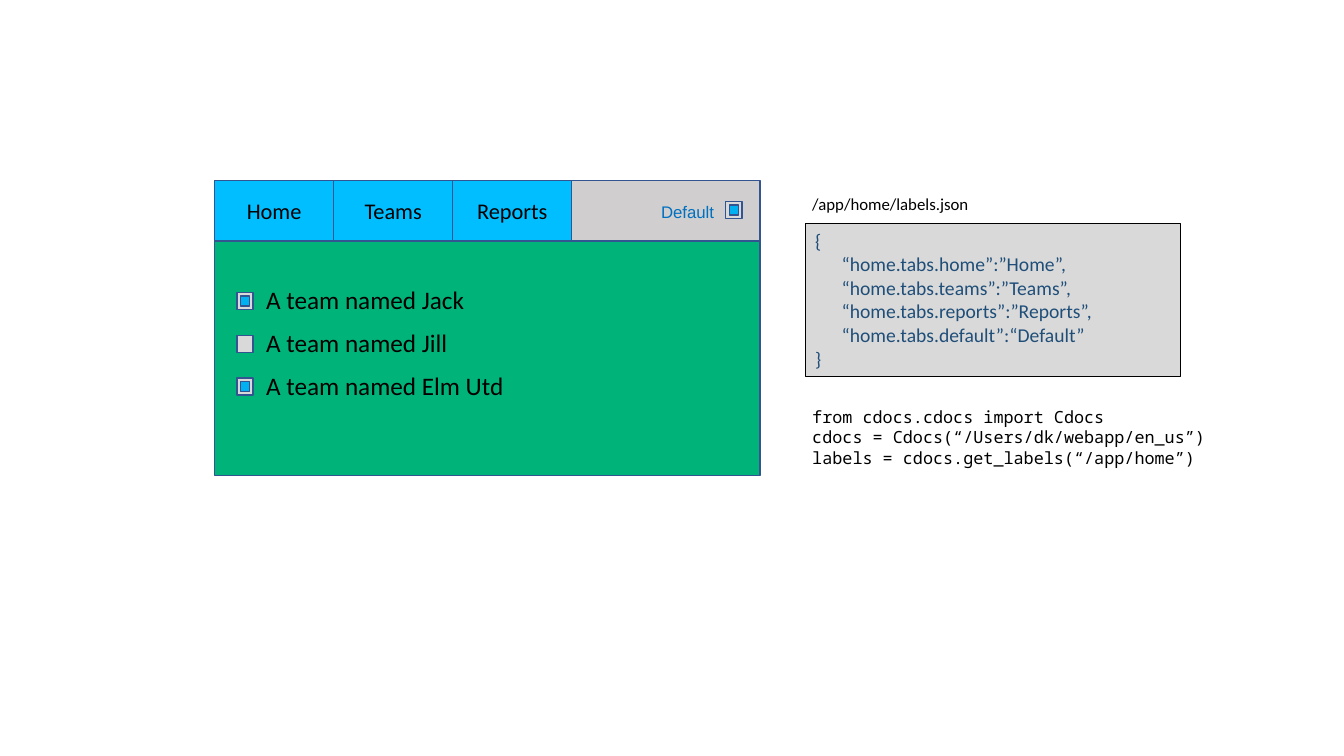
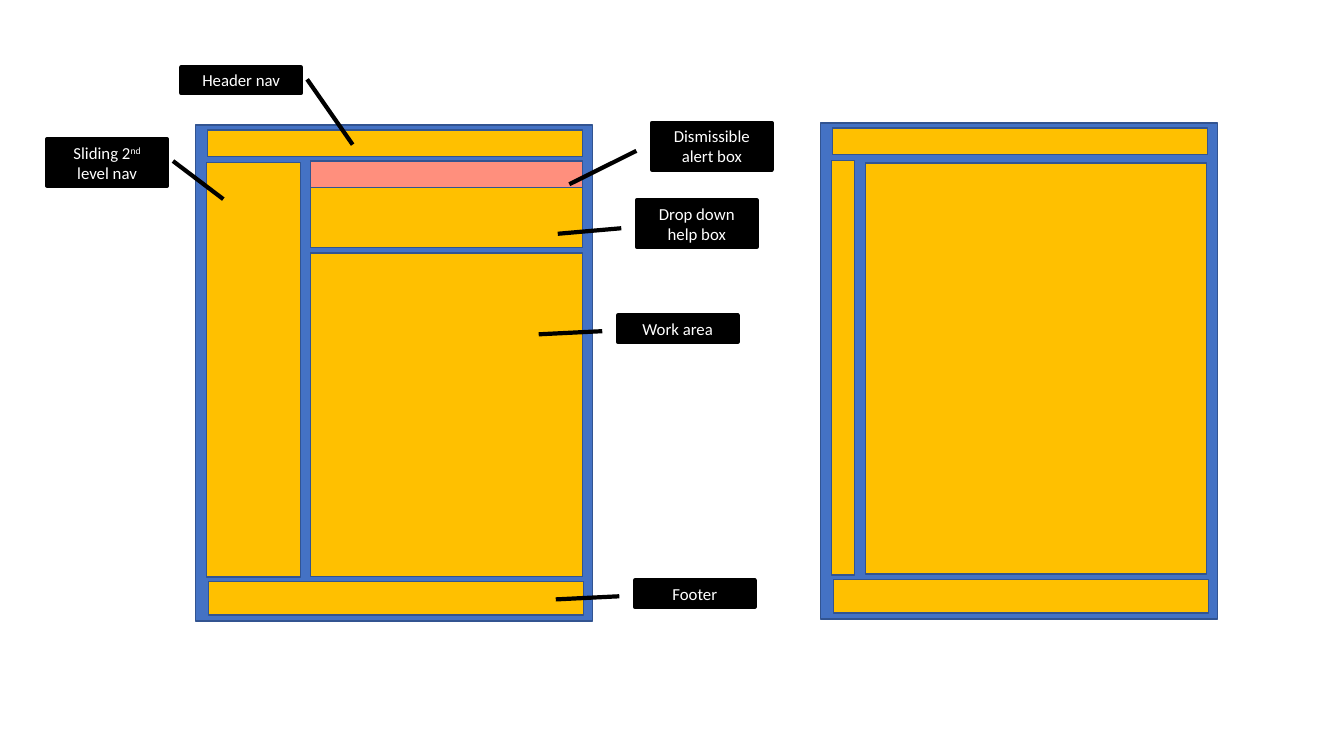
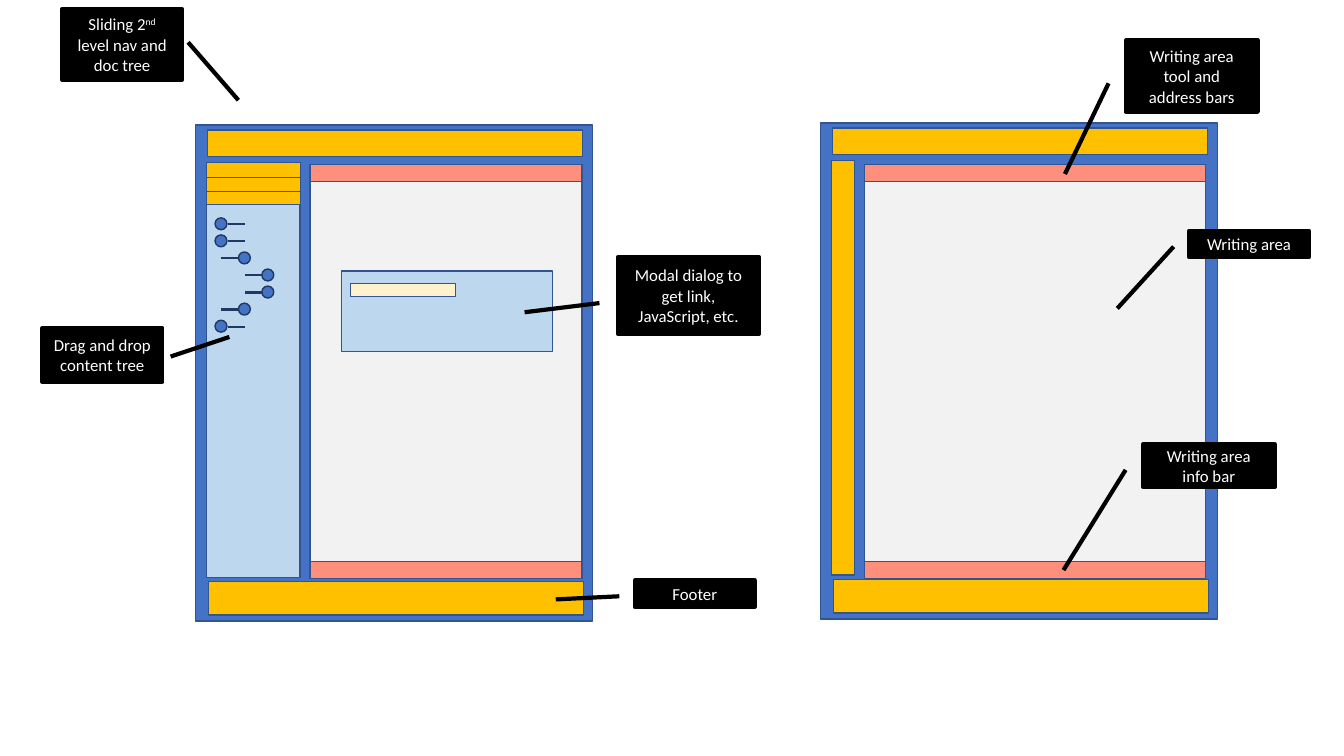
from lxml import etree
from pptx import Presentation
from pptx.dml.color import RGBColor
from pptx.enum.shapes import MSO_CONNECTOR, MSO_SHAPE
from pptx.enum.text import MSO_ANCHOR, MSO_AUTO_SIZE, PP_ALIGN
from pptx.oxml.ns import qn
from pptx.util import Cm, Pt

RECT = MSO_SHAPE.RECTANGLE
OVAL = MSO_SHAPE.OVAL
CALLOUT = MSO_SHAPE.LINE_CALLOUT_1
STRAIGHT = MSO_CONNECTOR.STRAIGHT
LEFT, CENTER = PP_ALIGN.LEFT, PP_ALIGN.CENTER
TOP, MIDDLE = MSO_ANCHOR.TOP, MSO_ANCHOR.MIDDLE
GROW = MSO_AUTO_SIZE.SHAPE_TO_FIT_TEXT

SANS, ARIAL, MONO = "Calibri", "Arial", "Noto Sans Mono"
BLACK, WHITE = "000000", "FFFFFF"
EDGE, FRAME, DARK = "325491", "4472C4", "203864"
GOLD, CORAL, PALE, PAPER = "FFC000", "FF8F7D", "BDD7EE", "F2F2F2"
GREEN, CYAN, TICK = "00B479", "00BEFF", "00B0F0"
GRAY, SILVER, CREAM = "D9D9D9", "D0CECE", "FFF2CC"
NAVY, BLUE = "1F4E79", "0070C0"

# Leader lines: start y, start x, end y, end x as shares of the box
RIGHT = (0.47, 1.05, 1.29, 1.47)
HEAD = (0.47, 1.05, 3.04, 1.43)
DRAG = (0.53, 1.07, 0.17, 1.56)
FLAT = (0.6, -0.13, 0.72, -0.66)
ALERT = (0.6, -0.13, 1.32, -0.69)
STEEP = (0.6, -0.13, 2.96, -0.6)
TOOLS = (0.6, -0.13, 1.87, -0.46)
FOOT_NOTE = ("Footer", 16, 14.63, 3.02, 0.66, FLAT)


def color(code):
    return RGBColor.from_string(code)


def box(slide, x, y, w, h, fill, line=EDGE, width=1, kind=RECT):
    shape = slide.shapes.add_shape(kind, Cm(x), Cm(y), Cm(w), Cm(h))
    shape.shadow.inherit = False
    shape.fill.solid()
    shape.fill.fore_color.rgb = color(fill)
    shape.line.color.rgb = color(line)
    shape.line.width = Pt(width)
    return shape


def write(shape, text, size, ink=BLACK, font=SANS, align=LEFT, anchor=TOP):
    """Fill the shape with text; a part between carets is raised."""
    frame = shape.text_frame
    frame.text = text.replace("^", "")
    frame.vertical_anchor = anchor
    for para, source in zip(frame.paragraphs, text.split("\n")):
        para.alignment = align
        if "^" in source:
            first, *rest = source.split("^")
            para.text = first
            for part in rest:
                para.add_run().text = part
            para.runs[1].font._element.set("baseline", "30000")
        for run in para.runs:
            run.font.size = Pt(size)
            run.font.name = font
            run.font.color.rgb = color(ink)


def label(slide, text, x, y, w, h, size, ink=BLACK, font=SANS):
    shape = slide.shapes.add_textbox(Cm(x), Cm(y), Cm(w), Cm(h))
    write(shape, text, size, ink, font)
    shape.text_frame.word_wrap = False
    shape.text_frame.auto_size = GROW


def rule(slide, x1, x2, y, ink, width):
    """Draw a level line."""
    line = slide.shapes.add_connector(STRAIGHT, Cm(x1), Cm(y), Cm(x2), Cm(y))
    line.line.color.rgb = color(ink)
    line.line.width = Pt(width)
    etree.SubElement(line._element.spPr, qn("a:effectLst"))


def check(slide, x, y, ticked):
    box(slide, x, y, 0.41, 0.43, GRAY)
    if ticked:
        box(slide, x + 0.09, y + 0.09, 0.23, 0.25, TICK)


def note(slide, text, x, y, w, h, leader):
    shape = box(slide, x, y, w, h, BLACK, BLACK, 3, CALLOUT)
    for i, share in enumerate(leader):
        shape.adjustments[i] = share
    write(shape, text, 12, WHITE, align=CENTER, anchor=MIDDLE)


def page(slide, x, y, nav):
    """Draw a page frame with header, side nav of the given width and footer."""
    box(slide, x, y, 10.01, 12.5, FRAME)
    box(slide, x + 0.28, y + 0.95, nav, 10.44, GOLD)
    box(slide, x + 0.3, y + 0.13, 9.45, 0.66, GOLD)
    box(slide, x + 0.33, y + 11.51, 9.45, 0.84, GOLD)


def pages(slide):
    page(slide, 4.93, 3.15, 2.36)
    page(slide, 20.68, 3.1, 0.58)


def editor(slide, x, w):
    """Draw a writing area between its tool bar and info bar."""
    box(slide, x, 4.57, w, 9.58, PAPER)
    for y in (4.14, 14.15):
        box(slide, x, y, w, 0.43, CORAL)


def tree(slide):
    box(slide, 5.21, 5.16, 2.34, 9.4, PALE)
    for row, level in enumerate((0, 0, 1, 2, 2, 1, 0)):
        x, y = 5.42 + 0.59 * level, 5.49 + 0.43 * row
        start = x - 0.43 if level else x + 0.32
        rule(slide, start, start + 0.44, y + 0.16, DARK, 1.5)
        box(slide, x, y, 0.3, 0.3, FRAME, DARK, kind=OVAL)


def labels_slide(slide):
    box(slide, 5.41, 6.05, 13.74, 5.94, GREEN)
    box(slide, 14.41, 4.55, 4.74, 1.52, SILVER)
    for i, name in enumerate(("Home", "Teams", "Reports")):
        tab = box(slide, 5.41 + 3 * i, 4.55, 3, 1.52, CYAN)
        write(tab, name, 16, align=CENTER, anchor=MIDDLE)
    label(slide, "Default", 16.41, 4.95, 1.93, 0.76, 12, BLUE, ARIAL)
    check(slide, 18.29, 5.08, True)

    teams = (("Jack", 5.5, True), ("Jill", 5.13, False), ("Elm Utd", 6.78, True))
    for i, (name, w, ticked) in enumerate(teams):
        y = 7.04 + 1.08 * i
        label(slide, f"A team named {name}", 6.46, y, w, 1.02, 18)
        check(slide, 5.97, y + 0.33, ticked)

    label(slide, "/app/home/labels.json", 20.22, 4.75, 4.5, 0.76, 12)
    data = box(slide, 20.29, 5.64, 9.47, 3.84, GRAY, BLACK, 0.75)
    write(data, "{\n“home.tabs.home”:”Home”,\n“home.tabs.teams”:”Teams”,\n"
          "“home.tabs.reports”:”Reports”,\n“home.tabs.default”:“Default”\n}",
          14, NAVY)
    for para in data.text_frame.paragraphs[1:-1]:
        para._p.get_or_add_pPr().set("marL", str(Cm(0.67)))
    label(slide, "from cdocs.cdocs import Cdocs\n"
          "cdocs = Cdocs(“/Users/dk/webapp/en_us”)\n"
          "labels = cdocs.get_labels(“/app/home”)",
          20.22, 10.13, 10.59, 1.8, 12, font=MONO)


def layout_slide(slide):
    pages(slide)
    box(slide, 7.82, 4.11, 6.86, 2.13, GOLD)
    box(slide, 7.82, 6.38, 6.86, 8.15, GOLD)
    box(slide, 7.82, 4.06, 6.86, 0.66, CORAL)
    box(slide, 21.82, 4.11, 8.59, 10.36, GOLD)
    for item in (
        ("Header nav", 4.57, 1.7, 3.02, 0.64, HEAD),
        ("Sliding 2^nd^ level nav", 1.19, 3.51, 3.02, 1.17, RIGHT),
        ("Dismissible alert box", 16.43, 3.1, 3.02, 1.17, ALERT),
        ("Drop down help box", 16.05, 5.05, 3.02, 1.17, FLAT),
        ("Work area", 15.57, 7.95, 3.02, 0.66, FLAT),
        FOOT_NOTE,
    ):
        note(slide, *item)


def editor_slide(slide):
    pages(slide)
    editor(slide, 7.81, 6.86)
    editor(slide, 21.79, 8.59)
    for y in (4.47, 4.83):
        rule(slide, 5.21, 7.57, y, EDGE, 1)
    tree(slide)
    box(slide, 8.61, 6.83, 5.31, 2.03, PALE)
    box(slide, 8.84, 7.14, 2.64, 0.33, CREAM)
    for item in (
        ("Sliding 2^nd^ level nav and doc tree", 1.57, 0.23, 3.02, 1.78, RIGHT),
        ("Drag and drop content tree", 1.07, 8.26, 3.02, 1.37, DRAG),
        ("Modal dialog to get link, JavaScript, etc.",
         15.57, 6.48, 3.56, 1.93, FLAT),
        FOOT_NOTE,
        ("Writing area tool and address bars", 28.37, 1.02, 3.33, 1.8, TOOLS),
        ("Writing area", 29.97, 5.82, 3.02, 0.66, STEEP),
        ("Writing area info bar", 28.8, 11.2, 3.33, 1.07, STEEP),
    ):
        note(slide, *item)


def main():
    deck = Presentation()
    deck.slide_width, deck.slide_height = Cm(33.87), Cm(19.05)
    for draw in (labels_slide, layout_slide, editor_slide):
        draw(deck.slides.add_slide(deck.slide_layouts[6]))
    deck.save("out.pptx")


if __name__ == "__main__":
    main()
